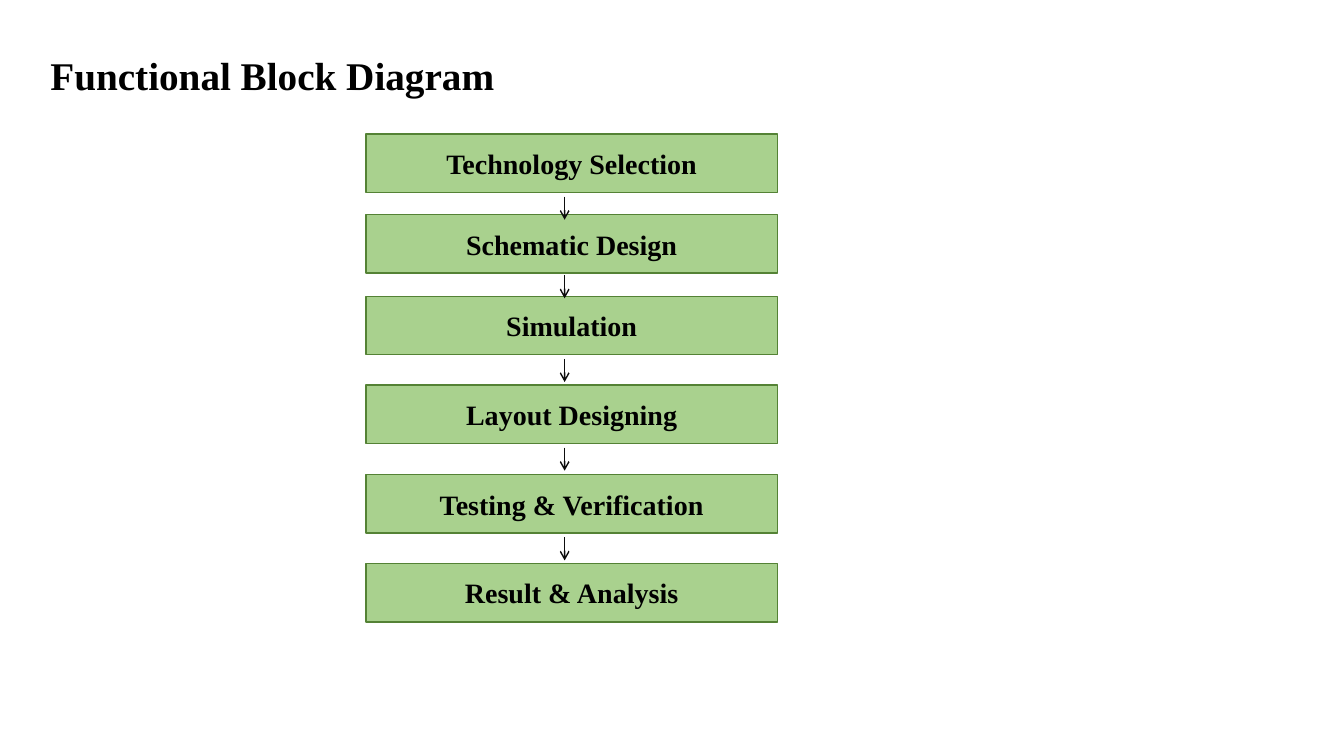
from dataclasses import dataclass

from lxml import etree
from pptx import Presentation
from pptx.dml.color import RGBColor
from pptx.enum.shapes import MSO_CONNECTOR, MSO_SHAPE
from pptx.enum.text import MSO_ANCHOR, PP_ALIGN
from pptx.oxml.ns import qn
from pptx.util import Inches, Pt


@dataclass(frozen=True)
class Theme:
    font: str = "Times New Roman"
    title_size: int = 28
    step_size: int = 20
    line_width: int = 1
    text: str = "000000"
    step_fill: str = "A9D18E"
    step_line: str = "548235"
    arrow: str = "0D0D0D"


THEME = Theme()

# Step label, top within the flow, gap between the step and the arrow below it
STEPS = [
    ("Technology Selection", 0, 0.04),
    ("Schematic Design", 0.8, 0.02),
    ("Simulation", 1.61, 0.04),
    ("Layout Designing", 2.49, 0.04),
    ("Testing & Verification", 3.38, 0.04),
    ("Result & Analysis", 4.26, None),
]
STEP_HEIGHT = 0.58
ARROW_LENGTH = 0.23
ARROW_OFFSET = 1.97


def write_text(shape, text, *, size, align, anchor, bold=True, color=THEME.text):
    frame = shape.text_frame
    frame.word_wrap = True
    frame.vertical_anchor = anchor
    paragraph = frame.paragraphs[0]
    paragraph.alignment = align
    paragraph.line_spacing = 1.0
    run = paragraph.add_run()
    run.text = text
    run.font.name = THEME.font
    run.font.size = Pt(size)
    run.font.bold = bold
    run.font.color.rgb = RGBColor.from_string(color)


def add_title(slide, left, top, width, height):
    title = slide.shapes.title
    title.left, title.top = Inches(left), Inches(top)
    title.width, title.height = Inches(width), Inches(height)
    write_text(title, "Functional Block Diagram", size=THEME.title_size,
               align=PP_ALIGN.LEFT, anchor=MSO_ANCHOR.TOP)


def add_step(slide, label, left, top, width):
    step = slide.shapes.add_shape(MSO_SHAPE.RECTANGLE, Inches(left), Inches(top),
                                  Inches(width), Inches(STEP_HEIGHT))
    step.shadow.inherit = False
    step.fill.solid()
    step.fill.fore_color.rgb = RGBColor.from_string(THEME.step_fill)
    step.line.color.rgb = RGBColor.from_string(THEME.step_line)
    step.line.width = Pt(THEME.line_width)
    write_text(step, label, size=THEME.step_size,
               align=PP_ALIGN.CENTER, anchor=MSO_ANCHOR.MIDDLE)


def add_down_arrow(slide, x, top):
    arrow = slide.shapes.add_connector(MSO_CONNECTOR.STRAIGHT, Inches(x), Inches(top),
                                       Inches(x), Inches(top + ARROW_LENGTH))
    arrow.line.color.rgb = RGBColor.from_string(THEME.arrow)
    arrow.line.width = Pt(THEME.line_width)
    # Open arrowhead and no shadow
    etree.SubElement(arrow.line._get_or_add_ln(), qn("a:tailEnd"), type="arrow")
    etree.SubElement(arrow._element.spPr, qn("a:effectLst"))


def add_flow(slide, left, top, width):
    for label, offset, _ in STEPS:
        add_step(slide, label, left, top + offset, width)
    for _, offset, gap in STEPS[:-1]:
        add_down_arrow(slide, left + ARROW_OFFSET, top + offset + STEP_HEIGHT + gap)


def main():
    presentation = Presentation()
    presentation.slide_width = Inches(13.33)
    presentation.slide_height = Inches(7.5)
    title_only = presentation.slide_layouts[5]
    slide = presentation.slides.add_slide(title_only)

    # Heading
    add_title(slide, 0.4, 0.46, 5.2, 0.57)
    # Steps from top to bottom
    add_flow(slide, 3.63, 1.33, 4.08)

    presentation.save("out.pptx")


if __name__ == "__main__":
    main()
